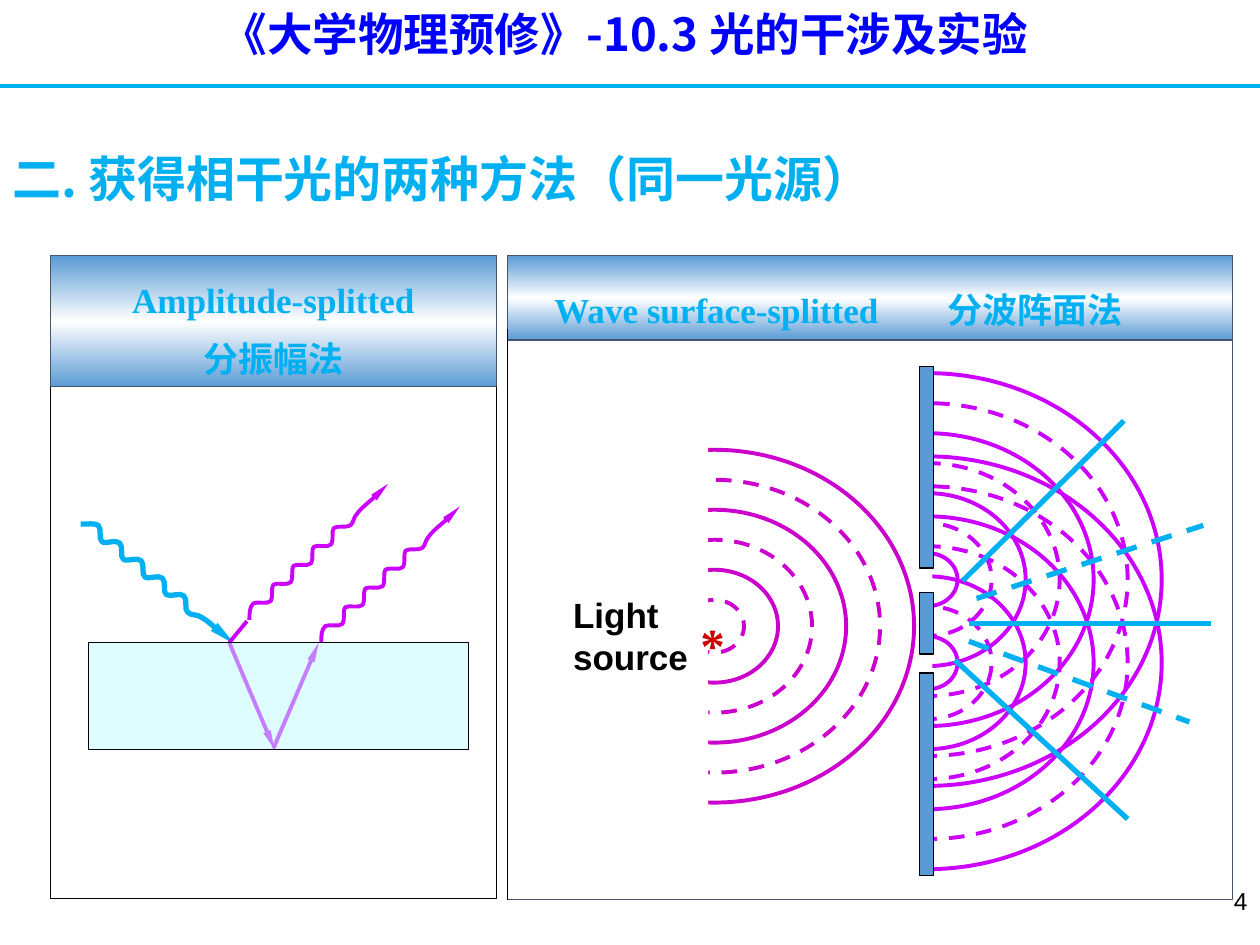
import copy

import lxml.etree
import pptx
import pptx.dml.color
import pptx.enum.dml
import pptx.enum.shapes
import pptx.enum.text
import pptx.oxml.ns
import pptx.util

Inches = pptx.util.Inches
Pt = pptx.util.Pt
qn = pptx.oxml.ns.qn
SHAPES = pptx.enum.shapes.MSO_SHAPE
ALIGN = pptx.enum.text.PP_ALIGN
ANCHOR = pptx.enum.text.MSO_ANCHOR
DASH = pptx.enum.dml.MSO_LINE.DASH

COLORS = {
    "title": "0000FF", "cyan": "00B0F0", "black": "000000", "white": "FFFFFF",
    "blue": "5B9BD5", "slate": "44546A", "violet": "CC00FF",
    "magenta": "CC00CC", "red": "CC0000", "glass": "BDFDFF",
}
CJK = "Noto Sans CJK SC"
SERIF = "Times New Roman"
SANS = "Arial"

# Wave curves, each (control 1, control 2, end) relative to its own start
DROP = (0.03, 0.03, 0, 0.11, 0.03, 0.13)
RUN_DOWN = (0.03, 0.02, 0.11, -0.02, 0.14, 0.01)
INCIDENT = [(0.06, 0, 0.11, -0.01, 0.14, 0.01)] + [DROP, RUN_DOWN] * 4 + [
    DROP, (0.03, 0.03, 0.07, 0.01, 0.11, 0.04),
    (0.05, 0.03, 0.13, 0.10, 0.17, 0.14), (0.05, 0.03, 0.07, 0.05, 0.09, 0.07)]
RUN_UP = (0.03, -0.02, 0.11, 0.01, 0.14, -0.02)
RISE = (0.02, -0.03, 0, -0.11, 0.02, -0.13)
REFLECTED = [(0, -0.05, 0, -0.10, 0.03, -0.13)] + [RUN_UP, RISE] * 4 + [
    (0.03, -0.02, 0.10, 0, 0.13, -0.02), (0.03, -0.02, 0.02, -0.06, 0.06, -0.10),
    (0.03, -0.04, 0.12, -0.11, 0.16, -0.15), (0.04, -0.04, 0.06, -0.06, 0.08, -0.08)]


def rgb(name):
    return pptx.dml.color.RGBColor.from_string(COLORS[name])


def style_line(line, color, width, dashed=False, arrow=False):
    line.color.rgb = rgb(color)
    line.width = Pt(width)
    if dashed:
        line.dash_style = DASH
    if arrow:
        lxml.etree.SubElement(line._get_or_add_ln(), qn("a:tailEnd"),
                              type="triangle", w="sm", len="lg")


def add_shape(slide, kind, box, fill=None, line=None, width=0.75, dashed=False):
    shape = slide.shapes.add_shape(kind, *map(Inches, box))
    shape.shadow.inherit = False
    if fill:
        shape.fill.solid()
        shape.fill.fore_color.rgb = rgb(fill)
    else:
        shape.fill.background()
    if line:
        style_line(shape.line, line, width, dashed)
    else:
        shape.line.fill.background()
    return shape


def add_line(slide, start, end, color, width, dashed=False, arrow=False):
    connector = slide.shapes.add_connector(
        pptx.enum.shapes.MSO_CONNECTOR.STRAIGHT, *map(Inches, (*start, *end)))
    style_line(connector.line, color, width, dashed, arrow)
    lxml.etree.SubElement(connector._element.spPr, qn("a:effectLst"))


def add_wave(slide, start, curves, color, width):
    """Draw a wavy ray: outline its curve ends, then bend each segment."""
    x, y = start
    ends = []
    for curve in curves:
        x, y = x + curve[4], y + curve[5]
        ends.append((Inches(x), Inches(y)))
    builder = slide.shapes.build_freeform(*map(Inches, start))
    builder.add_line_segments(ends, close=False)
    shape = builder.convert_to_shape()
    outline = next(shape._element.iter(qn("a:path")))
    points = list(outline.iter(qn("a:pt")))
    for previous, end, curve in zip(points, points[1:], curves):
        segment = end.getparent()
        bend = lxml.etree.Element(qn("a:cubicBezTo"))
        for dx, dy in (curve[:2], curve[2:4]):
            lxml.etree.SubElement(bend, qn("a:pt"),
                                  x=str(int(previous.get("x")) + Inches(dx)),
                                  y=str(int(previous.get("y")) + Inches(dy)))
        outline.replace(segment, bend)
        bend.append(end)
    shape.shadow.inherit = False
    shape.fill.background()
    style_line(shape.line, color, width, arrow=True)


def write(paragraph, text, font_name, size, color, bold=True,
          align=ALIGN.LEFT, spacing=None):
    paragraph.add_run().text = text
    paragraph.alignment = align
    if spacing:
        paragraph.line_spacing = spacing
    font = paragraph.font
    font.name = font_name
    font.size = Pt(size)
    font.bold = bold
    font.color.rgb = rgb(color)
    lxml.etree.SubElement(font._element, qn("a:ea"), typeface=CJK)


def add_text(slide, box, lines, *style, anchor=ANCHOR.TOP, wrap=True, **options):
    frame = slide.shapes.add_textbox(*map(Inches, box)).text_frame
    frame.word_wrap = wrap
    frame.vertical_anchor = anchor
    for index, text in enumerate(lines):
        paragraph = frame.add_paragraph() if index else frame.paragraphs[0]
        write(paragraph, text, *style, **options)


def add_banner(slide, box):
    """Add a blue-white-blue heading bar and return its text frame."""
    shape = add_shape(slide, SHAPES.RECTANGLE, box, line="slate")
    shape.fill.gradient()
    shape.fill.gradient_angle = 90
    last = shape.fill.gradient_stops[1]._gs
    last.addprevious(copy.deepcopy(last))
    for stop, position, color in zip(shape.fill.gradient_stops, (0, 0.5, 1),
                                     ("blue", "white", "blue")):
        stop.position = position
        stop.color.rgb = rgb(color)
    shape.text_frame.word_wrap = True
    shape.text_frame.vertical_anchor = ANCHOR.TOP
    return shape.text_frame


def add_ring(slide, center, index, color, dashed):
    width, height = 0.47 + 0.54 * index, 0.42 + 2.38 * index / 5
    box = (center[0] - width / 2, center[1] - height / 2, width, height)
    add_shape(slide, SHAPES.OVAL, box, line=color, width=2.25, dashed=dashed)


def add_heading(slide):
    add_text(slide, (1.21, 0, 7.5, 0.54), ["《大学物理预修》-10.3 光的干涉及实验"],
             CJK, 26, "title", align=ALIGN.CENTER)
    add_line(slide, (0, 0.68), (10, 0.68), "cyan", 2.25)
    add_text(slide, (0, 1.05, 7.87, 0.78), ["二. 获得相干光的两种方法（同一光源）"],
             CJK, 28, "cyan", anchor=ANCHOR.MIDDLE, spacing=0.9)
    add_text(slide, (7, 6.95, 3, 0.4), ["4"], SANS, 14, "black", bold=False,
             anchor=ANCHOR.MIDDLE, align=ALIGN.RIGHT)


def add_amplitude_panel(slide):
    add_shape(slide, SHAPES.RECTANGLE, (0.4, 2.03, 3.54, 5.1), "white", "black")
    frame = add_banner(slide, (0.4, 2.03, 3.54, 1.04))
    for paragraph, text, font_name in (
            (frame.paragraphs[0], "Amplitude-splitted", SERIF),
            (frame.add_paragraph(), "分振幅法", CJK)):
        write(paragraph, text, font_name, 20, "cyan", align=ALIGN.CENTER, spacing=1.4)

    # Incident, reflected and refracted rays
    add_wave(slide, (0.64, 4.16), INCIDENT, "cyan", 3)
    for start in ((1.98, 4.92), (2.55, 5.1)):
        add_wave(slide, start, REFLECTED, "violet", 2.25)
    add_line(slide, (1.82, 5.1), (1.96, 4.93), "violet", 2.25)
    add_line(slide, (1.82, 5.1), (2.18, 5.95), "violet", 2.25, arrow=True)
    add_line(slide, (2.17, 5.94), (2.53, 5.1), "violet", 2.25, arrow=True)

    # Half-transparent film
    film = add_shape(slide, SHAPES.RECTANGLE, (0.7, 5.1, 3.02, 0.85), "glass", "black")
    color = film._element.spPr.find(qn("a:solidFill"))[0]
    lxml.etree.SubElement(color, qn("a:alpha"), val="50000")


def add_wavefront_panel(slide):
    add_shape(slide, SHAPES.RECTANGLE, (4.03, 2.03, 5.75, 5.11), "white", "slate")
    frame = add_banner(slide, (4.03, 2.03, 5.75, 0.67))
    frame.margin_left = Inches(0.37)
    frame.margin_top = Inches(0.13)
    frame.margin_bottom = 0
    paragraph = frame.paragraphs[0]
    tabs = lxml.etree.SubElement(paragraph._p.get_or_add_pPr(), qn("a:tabLst"))
    lxml.etree.SubElement(tabs, qn("a:tab"), pos=str(Inches(3.12)), algn="l")
    write(paragraph, "Wave surface-splitted\t分波阵面法", SERIF, 20, "cyan", spacing=1.4)

    # Waves from the two slits, and the directions of interference
    for index in range(7):
        for y in (5.26, 4.6):
            add_ring(slide, (7.365, y), index, "violet", dashed=index % 2 == 1)
    for start, end, dashed in (
            ((7.69, 4.95), (9.61, 4.95), False), ((7.75, 4.75), (9.55, 4.17), True),
            ((7.69, 5.09), (9.44, 5.73), True), ((7.64, 4.61), (8.92, 3.34), False),
            ((7.58, 5.24), (8.95, 6.5), False)):
        add_line(slide, start, end, "cyan", 3, dashed)
    add_shape(slide, SHAPES.RECTANGLE, (4.99, 2.9, 2.41, 4.09), "white")

    # Waves from the light source
    for index in reversed(range(6)):
        add_ring(slide, (5.67, 4.97), index, "magenta", dashed=index % 2 == 0)
    add_shape(slide, SHAPES.RECTANGLE, (4.03, 3.41, 1.59, 3.11), "white")
    add_text(slide, (5.46, 4.83, 0.4, 0.57), ["*"], SERIF, 28, "red", wrap=False)
    add_line(slide, (4.03, 2.61), (4.03, 7.14), "black", 0.75)

    # Double-slit screen
    for top, height in ((2.91, 1.6), (5.34, 1.61), (4.7, 0.49)):
        add_shape(slide, SHAPES.RECTANGLE, (7.3, top, 0.11, height), "blue", "black")
    add_text(slide, (4.45, 4.66, 1.11, 0.77), ["Light", "source"], SANS, 20, "black",
             anchor=ANCHOR.BOTTOM, wrap=False)


def main():
    presentation = pptx.Presentation()
    presentation.slide_width = Inches(10)
    presentation.slide_height = Inches(7.5)
    slide = presentation.slides.add_slide(presentation.slide_layouts[6])
    add_heading(slide)
    add_amplitude_panel(slide)
    add_wavefront_panel(slide)
    presentation.save("out.pptx")


if __name__ == "__main__":
    main()
